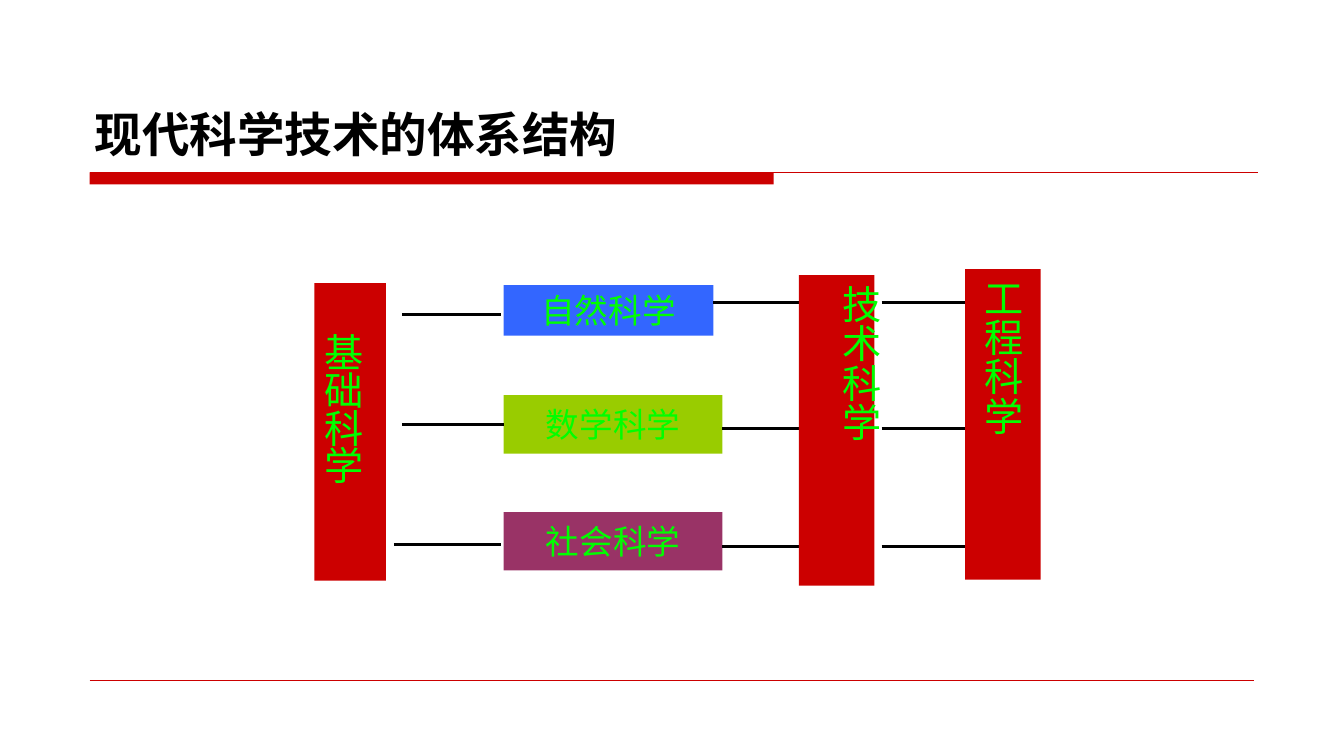
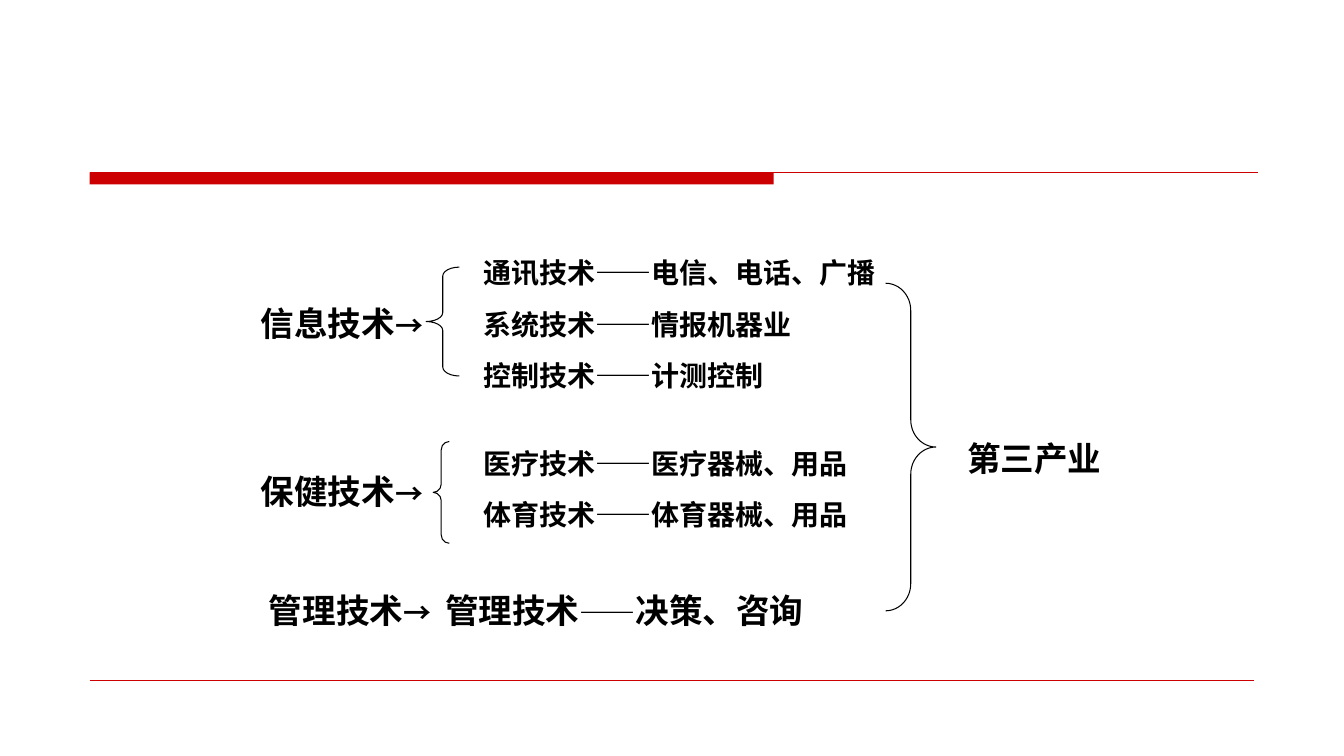
from dataclasses import dataclass

import lxml.etree
import pptx
import pptx.dml.color
import pptx.enum.shapes
import pptx.enum.text
import pptx.oxml.ns
import pptx.util

Inches = pptx.util.Inches
Pt = pptx.util.Pt
SHAPE = pptx.enum.shapes.MSO_SHAPE
ALIGN = pptx.enum.text.PP_ALIGN
ANCHOR = pptx.enum.text.MSO_ANCHOR
qn = pptx.oxml.ns.qn


@dataclass(frozen=True)
class Theme:
    """Colours, fonts and type sizes shared by the slides."""
    red: str = "CC0000"
    blue: str = "3366FF"
    olive: str = "99CC00"
    plum: str = "993366"
    lime: str = "00FF00"
    black: str = "000000"
    serif: str = "Times New Roman"
    sans: str = "DejaVu Sans"
    accent: str = "Karla"
    title: int = 34
    pillar: int = 28
    label: int = 24
    detail: int = 20


T = Theme()


def rgb(value):
    """Return a colour from its hex digits."""
    return pptx.dml.color.RGBColor.from_string(value)


def style(p, name, size, color, bold=False):
    """Set the font of a whole paragraph."""
    p.font.name, p.font.size, p.font.bold = name, Pt(size), bold
    p.font.color.rgb = rgb(color)


def add_box(slide, box, fill, shape=SHAPE.RECTANGLE):
    """Add a filled shape without outline or shadow."""
    sp = slide.shapes.add_shape(shape, *map(Inches, box))
    sp.shadow.inherit = False
    sp.fill.solid()
    sp.fill.fore_color.rgb = rgb(fill)
    sp.line.fill.background()
    return sp


def add_line(slide, start, end, color=T.black, width=2):
    """Add a straight line without shadow."""
    line = slide.shapes.add_connector(
        pptx.enum.shapes.MSO_CONNECTOR.STRAIGHT, *map(Inches, (*start, *end)))
    line.line.color.rgb = rgb(color)
    line.line.width = Pt(width)
    lxml.etree.SubElement(line.element.spPr, qn("a:effectLst"))
    return line


def add_text(slide, box, rows, size, name=T.serif, gap=12.5, anchor=ANCHOR.TOP, tab=None):
    """Add bold rows of text, each a list of (text, size) runs."""
    sp = slide.shapes.add_textbox(*map(Inches, box))
    tf = sp.text_frame
    tf.word_wrap = True
    tf.vertical_anchor = anchor
    for i, runs in enumerate(rows):
        p = tf.paragraphs[0] if i == 0 else tf.add_paragraph()
        if i:
            p.space_before = Pt(gap)
        if tab:
            tabs = lxml.etree.SubElement(p._p.get_or_add_pPr(), qn("a:tabLst"))
            lxml.etree.SubElement(tabs, qn("a:tab"), pos=str(Inches(tab)), algn="l")
        style(p, name, size, T.black, bold=True)
        for text, run_size in runs:
            r = p.add_run()
            r.text = text
            if run_size != size:
                r.font.size = Pt(run_size)


def add_label_box(slide, box, text, fill, size, name=T.serif, vertical=False, shift=0):
    """Add a box with a centred label, upright or in a vertical column."""
    sp = add_box(slide, box, fill)
    tf = sp.text_frame
    tf.word_wrap = False
    tf.vertical_anchor = ANCHOR.MIDDLE
    if vertical:
        tf.margin_left, tf.margin_right = Inches(2 * shift), 0
        if not shift:
            tf.margin_left = tf.margin_right = Inches(0.05)
        tf.margin_top = tf.margin_bottom = Inches(0.1)
        sp.element.txBody.bodyPr.set("vert", "eaVert")
    p = tf.paragraphs[0]
    p.text = text
    p.alignment = ALIGN.CENTER
    style(p, name, size, T.lime)
    return sp


def add_stacked_box(slide, box, text):
    """Add a box with one character per line."""
    tf = add_box(slide, box, T.red).text_frame
    tf.word_wrap = True
    tf.vertical_anchor = ANCHOR.TOP
    tf.margin_top = Inches(0.54)
    for i, char in enumerate(text):
        p = tf.paragraphs[0] if i == 0 else tf.add_paragraph()
        p.text = char
        p.alignment = ALIGN.LEFT
        p.line_spacing = 0.8
        style(p, T.sans, T.pillar, T.lime)


def add_brace(slide, box, shape, curve):
    """Add a thin black brace with the given curvature."""
    sp = slide.shapes.add_shape(shape, *map(Inches, box))
    sp.shadow.inherit = False
    sp.fill.background()
    sp.line.color.rgb = rgb(T.black)
    sp.line.width = Pt(0.75)
    sp.adjustments[0] = curve


def add_frame(prs, title=None):
    """Add a slide with the red band, footer rule and optional title."""
    slide = prs.slides.add_slide(prs.slide_layouts[6])
    left, top = 0.89, 1.71
    add_box(slide, (left, top, 6.79, 0.12), T.red)
    add_line(slide, (left, top), (12.49, top), T.red, 0.75)
    add_line(slide, (left, 6.75), (12.45, 6.75), T.red, 0.25)
    if title:
        add_text(slide, (0.84, 0.33, 11.67, 1.33), [[(title, T.title)]], T.title,
                 T.sans, anchor=ANCHOR.BOTTOM)
    return slide


def draw_structure(slide, x, y):
    """Draw the branches of science between the three pillars."""
    branches = [
        ("自然科学", T.blue, 0.16, 2.08, 0.5),
        ("数学科学", T.olive, 1.25, 2.17, 0.58),
        ("社会科学", T.plum, 2.41, 2.17, 0.58),
    ]
    branch_x, applied_x, engineering_x = x + 1.88, x + 4.81, x + 6.46
    boxes = [add_label_box(slide, (branch_x, y + dy, w, h), text, fill, T.label)
             for text, fill, dy, w, h in branches]
    add_label_box(slide, (engineering_x, y, 0.75, 3.08), "工程科学", T.red,
                  T.pillar, vertical=True)
    for (_, _, _, w, _), dy in zip(branches, (0.33, 1.58, 2.75)):
        add_line(slide, (branch_x + w, y + dy), (x + 4.88, y + dy))
        add_line(slide, (x + 5.63, y + dy), (engineering_x, y + dy))
    add_stacked_box(slide, (x, y + 0.14, 0.71, 2.95), "基础科学")
    add_label_box(slide, (applied_x, y + 0.06, 0.75, 3.08), "技术科学", T.red,
                  T.pillar, T.accent, vertical=True, shift=0.24)
    left_lines = [add_line(slide, (x + dx, y + dy), (x + 1.85, y + dy))
                  for dx, dy in ((0.87, 0.45), (0.87, 1.54), (0.79, 2.73))]
    left_lines[1].end_connect(boxes[1], 1)


def draw_industry(slide, x, y):
    """Draw the technology groups leading to the tertiary industry."""
    for dy, name in ((0.47, "信息技术"), (2.13, "保健技术")):
        add_text(slide, (x, y + dy, 2.08, 0.5),
                 [[(name, T.label), ("→", T.detail)]], T.label)
    management = [("管理技术", T.label), ("→\t", T.detail), ("管理技术", T.label),
                  ("——", T.detail), ("决策、咨询", T.label)]
    add_text(slide, (x + 0.08, y + 3.31, 5.92, 0.5), [management], T.label, tab=1.75)
    details = [
        (0, 4.25, 1.45, ("通讯技术——电信、电话、广播", "系统技术——情报机器业", "控制技术——计测控制")),
        (1.89, 4.02, 0.94, ("医疗技术——医疗器械、用品", "体育技术——体育器械、用品")),
    ]
    for dy, w, h, rows in details:
        add_text(slide, (x + 2.21, y + dy, w, h),
                 [[(row, T.detail)] for row in rows], T.detail)
    add_text(slide, (x + 7.01, y + 1.81, 1.58, 0.5), [[("第三产业", T.label)]], T.label)
    braces = [
        (1.74, 0.16, 0.33, 1.08, SHAPE.LEFT_BRACE, 0.27),
        (1.81, 1.89, 0.16, 1.01, SHAPE.LEFT_BRACE, 0.52),
        (6.3, 0.32, 0.5, 3.25, SHAPE.RIGHT_BRACE, 0.54),
    ]
    for dx, dy, w, h, shape, curve in braces:
        add_brace(slide, (x + dx, y + dy, w, h), shape, curve)


def main():
    """Build and save the presentation."""
    prs = pptx.Presentation()
    prs.slide_width, prs.slide_height = Inches(13.34), Inches(7.5)
    draw_structure(add_frame(prs, "现代科学技术的体系结构"), 3.12, 2.67)
    draw_industry(add_frame(prs), 2.49, 2.49)
    prs.save("out.pptx")


if __name__ == "__main__":
    main()
